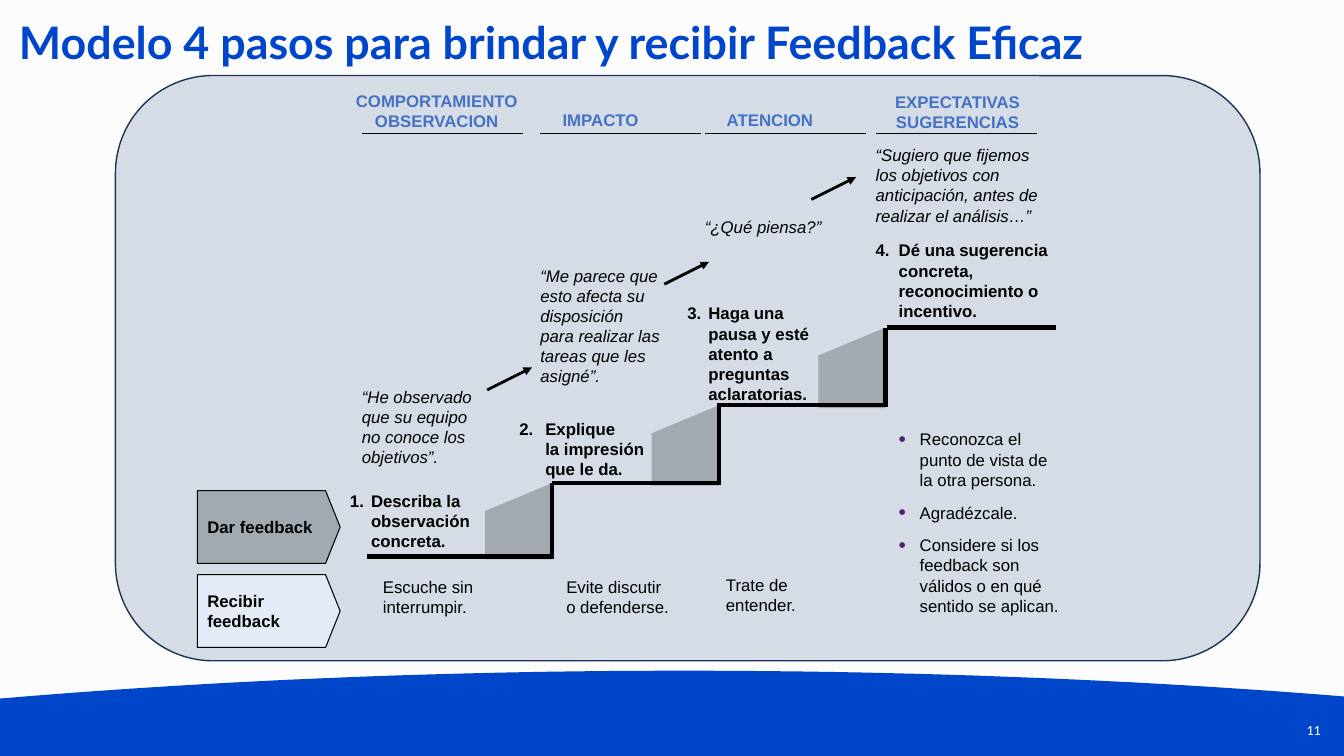
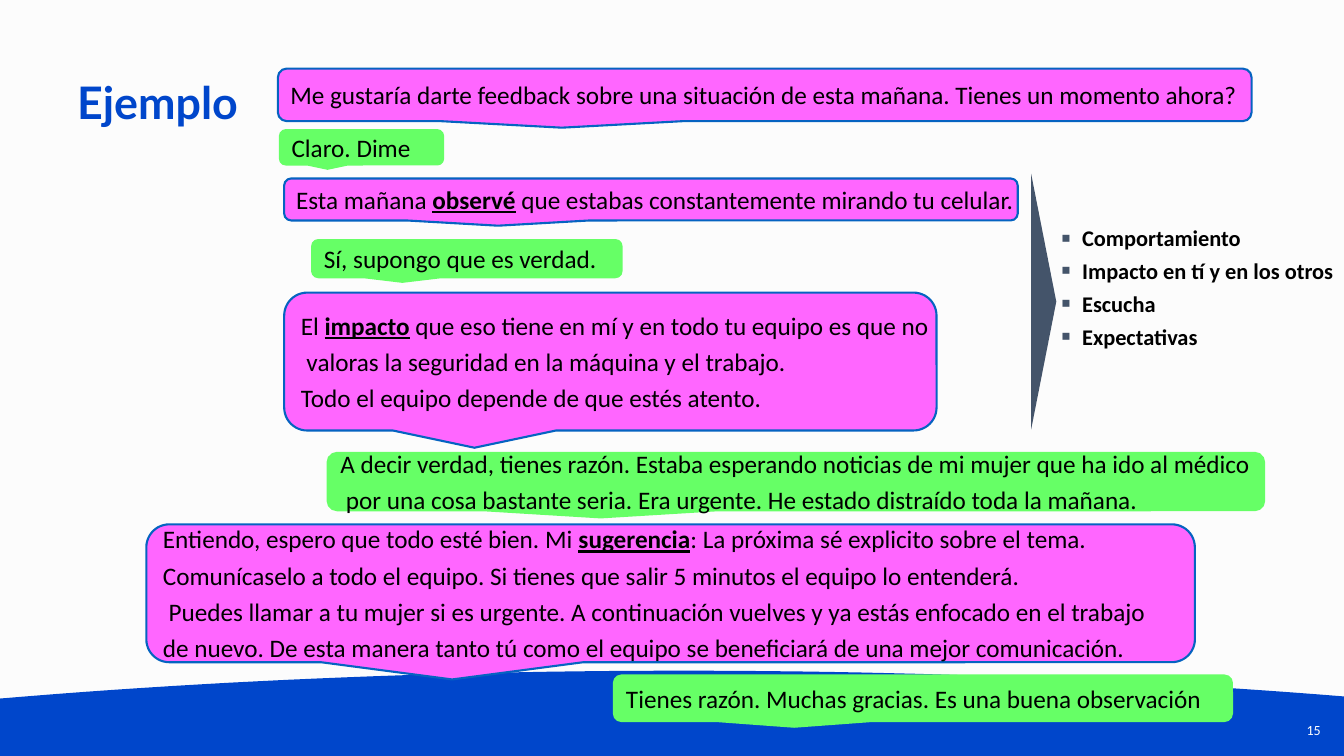
from dataclasses import dataclass

from lxml.etree import SubElement
from pptx import Presentation
from pptx.dml.color import RGBColor
from pptx.enum.shapes import MSO_CONNECTOR, MSO_SHAPE
from pptx.enum.text import MSO_ANCHOR, PP_ALIGN
from pptx.oxml.ns import qn
from pptx.util import Pt


@dataclass(frozen=True)
class Theme:
    background: str = "FCFCFC"
    blue: str = "0046CB"
    white: str = "FFFFFF"
    black: str = "000000"
    panel: str = "D6DCE5"
    panel_line: str = "1E3256"
    gray: str = "A2A9B1"
    pale: str = "E4EBF6"
    heading: str = "4472C4"
    purple: str = "4E2070"
    slate: str = "44546A"
    pink: str = "FF66FF"
    pink_line: str = "0563C1"
    green: str = "66FF66"
    title_font: str = "Lato"
    model_font: str = "Arial"
    example_font: str = "Calibri"
    title_size: int = 32
    speech_size: int = 18
    list_size: int = 16
    model_size: int = 12
    page_size: int = 10


THEME = Theme()
WIDTH, HEIGHT = 960, 540

# Text boxes are (text, left, top, width)
HEADINGS = [
    ("COMPORTAMIENTO OBSERVACION", 250, 65, 124),
    ("IMPACTO", 386, 78, 86),
    ("ATENCION", 503.5, 78, 93),
    ("EXPECTATIVAS SUGERENCIAS", 625.5, 65.5, 117),
]
HEADING_RULES = [258.5, 386, 503.5, 625.5]
QUOTES = [
    ("“He observado que su equipo no conoce los objetivos”.", 258.5, 276, 86.5),
    ("“Me parece que esto afecta su disposición para realizar las tareas "
     "que les asigné”.", 386, 189.5, 86.5),
    ("“¿Qué piensa?”", 503.5, 155, 93),
    ("“Sugiero que fijemos los objetivos con anticipación, antes de realizar "
     "el análisis…”", 625.5, 103.5, 117),
]
ACTIONS = [
    ("Describa la observación concreta.", 265, 350.5, 76.5),
    ("Explique\nla impresión\nque le da.", 389.5, 299, 86.5),
    ("Haga una pausa y esté atento a\npreguntas\naclaratorias.", 506, 216.5, 83),
    ("Dé una sugerencia concreta, reconocimiento o incentivo.", 642, 171.5, 138),
]
NUMBER_LEFTS = [250, 371, 491, 625.5]
RECEIVING = [
    ("Escuche sin interrumpir.", 273.5, 412, 76.5),
    ("Evite discutir\no defenderse.", 404.5, 412, 86.5),
    ("Trate de entender.", 518.5, 410.5, 93),
]
RECEIVING_LIST = (
    "Reconozca el punto de vista de la otra persona.\nAgradézcale.\n"
    "Considere si los feedback son válidos o en qué sentido se aplican."
)
TREADS = [(262, 395.5, 397.5), (394, 515, 345), (512.5, 633.5, 289.5), (633.5, 754, 234)]
RISERS = [394.5, 513.5, 632.5]
ARROW_STARTS = [(348, 278.5), (474.5, 203), (579.5, 142.5)]
TAGS = [("Dar feedback", 350.5, THEME.gray), ("Recibir feedback", 410.5, THEME.pale)]

# Speech is (speaker, text, left, top, width, height); ** marks key words
SPEECH = [
    ("giver", "Me gustaría darte feedback sobre una situación de esta mañana. "
     "Tienes un momento ahora?", 198.5, 49, 695.5, 37.5),
    ("receiver", "Claro. Dime", 200, 93, 116.5, 24.5),
    ("giver", "Esta mañana **observé** que estabas constantemente mirando tu celular.",
     203, 127.5, 524, 30),
    ("receiver", "Sí, supongo que es verdad.", 223, 171.5, 221, 26.5),
    ("giver", "El **impacto** que eso tiene en mí y en todo tu equipo es que no\n"
     " valoras la seguridad en la máquina y el trabajo.\n"
     "Todo el equipo depende de que estés atento.", 203, 209, 466, 98.5),
    ("receiver", "A decir verdad, tienes razón. Estaba esperando noticias de mi mujer "
     "que ha ido al médico\n"
     " por una cosa bastante seria. Era urgente. He estado distraído toda la mañana.",
     234, 323.5, 669, 41),
    ("giver", "Entiendo, espero que todo esté bien. Mi **sugerencia**: La próxima sé "
     "explicito sobre el tema.\n"
     "Comunícaselo a todo el equipo. Si tienes que salir 5 minutos el equipo lo entenderá.\n"
     " Puedes llamar a tu mujer si es urgente. A continuación vuelves y ya estás "
     "enfocado en el trabajo\n"
     "de nuevo. De esta manera tanto tú como el equipo se beneficiará de una mejor "
     "comunicación.", 104.5, 374.5, 749, 98.5),
    ("receiver", "Tienes razón. Muchas gracias. Es una buena observación",
     438.5, 482.5, 441.5, 32.5),
]
SPEAKER_COLORS = {
    "giver": (THEME.pink, THEME.pink_line),
    "receiver": (THEME.green, THEME.green),
}
SUMMARY = "Comportamiento\nImpacto en tí y en los otros\nEscucha\nExpectativas"


def color(value):
    return RGBColor.from_string(value)


def add_bullet(paragraph, character, bullet_color):
    properties = paragraph._p.get_or_add_pPr()
    properties.set("marL", str(Pt(15)))
    properties.set("indent", str(-Pt(15)))
    holder = SubElement(properties, qn("a:buClr"))
    SubElement(holder, qn("a:srgbClr"), val=bullet_color)
    SubElement(properties, qn("a:buSzPct"), val="125000")
    SubElement(properties, qn("a:buFont"), typeface="Arial")
    SubElement(properties, qn("a:buChar"), char=character)


def write(shape, text, *, font=THEME.model_font, size=THEME.model_size,
          text_color=THEME.black, bold=False, italic=False, align=PP_ALIGN.LEFT,
          anchor=MSO_ANCHOR.TOP, margins=(0, 0), wrap=True, bullet=None,
          before=0, after=0):
    """Fill a shape: newlines part paragraphs, ** marks bold underlined words."""
    frame = shape.text_frame
    frame.word_wrap = wrap
    frame.vertical_anchor = anchor
    frame.margin_left = frame.margin_right = Pt(margins[0])
    frame.margin_top = frame.margin_bottom = Pt(margins[1])
    for index, line in enumerate(text.split("\n")):
        paragraph = frame.add_paragraph() if index else frame.paragraphs[0]
        if bullet:
            add_bullet(paragraph, *bullet)
        paragraph.alignment = align
        if index and before:
            paragraph.space_before = Pt(before)
        if after:
            paragraph.space_after = Pt(after)
        for position, part in enumerate(line.split("**")):
            key_word = position % 2 == 1
            run = paragraph.add_run()
            run.text = part
            run.font.name = font
            run.font.size = Pt(size)
            run.font.bold = bold or key_word
            run.font.italic = italic
            run.font.underline = key_word
            run.font.color.rgb = color(text_color)


def add_text(slide, text, left, top, width, height=15, **text_format):
    box = slide.shapes.add_textbox(Pt(left), Pt(top), Pt(width), Pt(height))
    write(box, text, **text_format)


def paint(shape, fill, line=None, weight=1.0):
    shape.shadow.inherit = False
    shape.fill.solid()
    shape.fill.fore_color.rgb = color(fill)
    if line:
        shape.line.color.rgb = color(line)
        shape.line.width = Pt(weight)
    else:
        shape.line.fill.background()


def add_shape(slide, kind, left, top, width, height, fill, line=None, weight=1.0):
    shape = slide.shapes.add_shape(kind, Pt(left), Pt(top), Pt(width), Pt(height))
    paint(shape, fill, line, weight)
    return shape


def add_outline(slide, points, fill):
    points = [(Pt(x), Pt(y)) for x, y in points]
    builder = slide.shapes.build_freeform(*points[0])
    builder.add_line_segments(points[1:])
    paint(builder.convert_to_shape(), fill)


def add_line(slide, start_x, start_y, end_x, end_y, weight, arrow=False):
    connector = slide.shapes.add_connector(
        MSO_CONNECTOR.STRAIGHT, Pt(start_x), Pt(start_y), Pt(end_x), Pt(end_y))
    connector.line.color.rgb = color(THEME.black)
    connector.line.width = Pt(weight)
    properties = connector.element.spPr
    if arrow:
        SubElement(properties.find(qn("a:ln")), qn("a:tailEnd"), type="triangle")
    SubElement(properties, qn("a:effectLst"))


def wave_points(steps=48):
    """Points of the cubic curve along the top of the footer, then its corners."""
    controls = [(0, 499), (325.5, 471.5), (669, 474), (WIDTH, 497.5)]
    points = []
    for step in range(steps + 1):
        t = step / steps
        weights = ((1 - t) ** 3, 3 * t * (1 - t) ** 2, 3 * t * t * (1 - t), t ** 3)
        points.append(tuple(sum(weight * control[axis]
                                for weight, control in zip(weights, controls))
                            for axis in (0, 1)))
    return points + [(WIDTH, HEIGHT), (0, HEIGHT)]


def add_slide(presentation, title, left, top, page):
    slide = presentation.slides.add_slide(presentation.slide_layouts[6])
    slide.background.fill.solid()
    slide.background.fill.fore_color.rgb = color(THEME.background)
    add_outline(slide, wave_points(), THEME.blue)
    add_text(slide, page, 734.5, 512, 216, 28, font=THEME.example_font,
             size=THEME.page_size, text_color=THEME.white, align=PP_ALIGN.RIGHT,
             margins=(7.2, 3.6))
    add_text(slide, title, left, top, 864, 73, font=THEME.title_font,
             size=THEME.title_size, text_color=THEME.blue, bold=True,
             anchor=MSO_ANCHOR.MIDDLE, margins=(7.2, 3.6))
    return slide


def add_stairs(slide):
    for riser, (_, _, lower), (_, _, upper) in zip(RISERS, TREADS, TREADS[1:]):
        add_outline(slide, [(riser, lower + 2), (riser, upper),
                            (riser - 48, upper + 20), (riser - 48, lower + 2)], THEME.gray)
        add_line(slide, riser, lower + 1.5, riser, upper, 3)
    for start, end, level in TREADS:
        add_line(slide, start, level, end, level, 3)
    for x, y in ARROW_STARTS:
        add_line(slide, x, y, x + 32, y - 16, 2, arrow=True)


def build_model(presentation):
    slide = add_slide(presentation, "Modelo 4 pasos para brindar y recibir Feedback Eficaz",
                      6.5, -6.5, "11")
    add_shape(slide, MSO_SHAPE.ROUNDED_RECTANGLE, 82.5, 54, 817.5, 418,
              THEME.panel, THEME.panel_line)
    for text, top, fill in TAGS:
        tag = add_shape(slide, MSO_SHAPE.PENTAGON, 141, top, 102, 52, fill, THEME.black, 0.75)
        tag.adjustments[0] = 0.2
        write(tag, text, bold=True, anchor=MSO_ANCHOR.MIDDLE, margins=(7.2, 3.6))
    add_stairs(slide)
    for box in HEADINGS:
        add_text(slide, *box, bold=True, text_color=THEME.heading, align=PP_ALIGN.CENTER)
    for left in HEADING_RULES:
        add_line(slide, left, 95.5, left + 115, 95.5, 0.75)
    for box in QUOTES:
        add_text(slide, *box, italic=True)
    for number, (left, box) in enumerate(zip(NUMBER_LEFTS, ACTIONS), 1):
        add_text(slide, f"{number}.", left, box[2], 25, bold=True)
        add_text(slide, *box, bold=True)
    for box in RECEIVING:
        add_text(slide, *box)
    add_text(slide, RECEIVING_LIST, 642, 306.5, 117, 135,
             bullet=("•", THEME.purple), after=9)


def build_example(presentation):
    slide = add_slide(presentation, "Ejemplo", 48, 36, "15")
    add_text(slide, SUMMARY, 758, 160, 202, 95, font=THEME.example_font,
             size=THEME.list_size, bold=True, bullet=("▪", THEME.slate), before=4.3)
    pointer = add_shape(slide, MSO_SHAPE.ISOSCELES_TRIANGLE, 654, 206.5, 183, 18, THEME.slate)
    pointer.rotation = 90
    for speaker, text, *place in SPEECH:
        callout = add_shape(slide, MSO_SHAPE.ROUNDED_RECTANGULAR_CALLOUT, *place,
                            *SPEAKER_COLORS[speaker], 1.5)
        write(callout, text, font=THEME.example_font, size=THEME.speech_size,
              anchor=MSO_ANCHOR.MIDDLE, margins=(7.2, 3.6), wrap=False, after=4.3)


def main():
    presentation = Presentation()
    presentation.slide_width, presentation.slide_height = Pt(WIDTH), Pt(HEIGHT)
    build_model(presentation)
    build_example(presentation)
    presentation.save("out.pptx")


if __name__ == "__main__":
    main()
